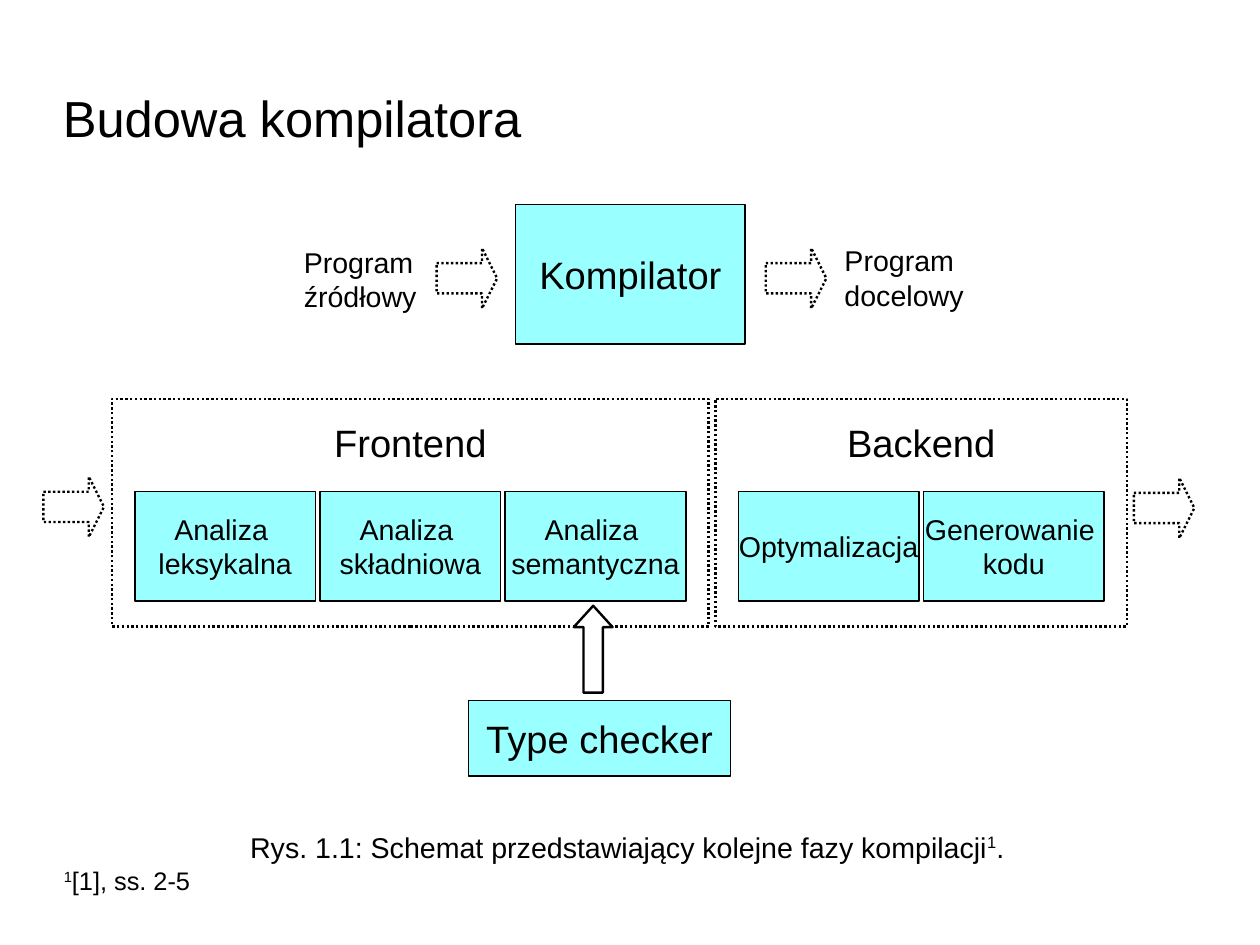
import pptx
import pptx.util
import pptx.dml.color
import pptx.enum.dml
import pptx.enum.shapes
import pptx.enum.text
from dataclasses import dataclass

PHASES = [
    ("Frontend", ["Analiza \nleksykalna", "Analiza \nskładniowa", "Analiza \nsemantyczna"]),
    ("Backend", ["Optymalizacja", "Generowanie \nkodu"]),
]
BLOCKS = [
    ("Kompilator", (4.51, 1.79, 2.01, 1.22)),
    ("Type checker", (4.1, 6.13, 2.29, 0.66)),
]
LABELS = [
    ("Program\nźródłowy", (2.56, 2.09, 1.2, 0.66)),
    ("Program\ndocelowy", (7.29, 2.08, 1.24, 0.66)),
]
FLOWS = [(3.82, 2.17), (6.7, 2.17), (0.38, 4.17), (9.92, 4.18)]
TITLE = "Budowa kompilatora"
CAPTION = ["Rys. 1.1: Schemat przedstawiający kolejne fazy kompilacji", "1", "."]
NOTE = ["1", "[1], ss. 2-5"]


@dataclass
class Theme:
    font: str = "Arial"
    ink: str = "000000"
    paper: str = "FFFFFF"
    aqua: str = "99FFFF"
    title: float = 31.9
    head: float = 24
    body: float = 18
    note: float = 16
    thin: float = 1
    thick: float = 1.5


theme = Theme()
Shape = pptx.enum.shapes.MSO_SHAPE
Anchor = pptx.enum.text.MSO_ANCHOR
Align = pptx.enum.text.PP_ALIGN
Fit = pptx.enum.text.MSO_AUTO_SIZE
Inch = pptx.util.Inches
Pt = pptx.util.Pt

deck = pptx.Presentation()
deck.slide_width, deck.slide_height = pptx.util.Cm(28), pptx.util.Cm(21)
slide = deck.slides.add_slide(deck.slide_layouts[6])


def color(code):
    return pptx.dml.color.RGBColor.from_string(code)


def style(frame, size, align, anchor, pads, wrap=False):
    frame.word_wrap = wrap
    frame.vertical_anchor = anchor
    frame.margin_left = frame.margin_right = Inch(pads[0])
    frame.margin_top = frame.margin_bottom = Inch(pads[1])
    for line in frame.paragraphs:
        line.alignment = align
        for run in line.runs:
            run.font.name = theme.font
            run.font.size = Pt(size)
            run.font.color.rgb = color(theme.ink)


def draw(kind, box, fill=None, width=theme.thin, dash=False):
    shape = slide.shapes.add_shape(kind, *map(Inch, box))
    shape.shadow.inherit = False
    if fill:
        shape.fill.solid()
        shape.fill.fore_color.rgb = color(fill)
    else:
        shape.fill.background()
    shape.line.color.rgb = color(theme.ink)
    shape.line.width = Pt(width)
    if dash:
        shape.line.dash_style = pptx.enum.dml.MSO_LINE.ROUND_DOT
    return shape


def block(text, box, size):
    frame = draw(Shape.RECTANGLE, box, theme.aqua).text_frame
    frame.text = text
    style(frame, size, Align.CENTER, Anchor.MIDDLE, (0.06, 0.01))


def label(text, box, size, anchor=Anchor.TOP, pads=(0.1, 0.05), wrap=False):
    frame = slide.shapes.add_textbox(*map(Inch, box)).text_frame
    frame.text = text
    style(frame, size, Align.LEFT, anchor, pads, wrap)
    frame.auto_size = Fit.SHAPE_TO_FIT_TEXT


def cite(parts, box, size, wrap=False):
    frame = slide.shapes.add_textbox(*map(Inch, box)).text_frame
    for part in parts:
        run = frame.paragraphs[0].add_run()
        run.text = part
        if part == "1":
            run._r.get_or_add_rPr().set("baseline", "33000")
    style(frame, size, Align.LEFT, Anchor.TOP, (0.1, 0.05), wrap)
    frame.auto_size = Fit.SHAPE_TO_FIT_TEXT


def arrow(kind, box, head, dash):
    shape = draw(kind, box, theme.paper, theme.thick, dash)
    shape.adjustments[0] = 0.5
    shape.adjustments[1] = head


def phases(left, top, high):
    wide, tall, gap, pad, drop = 1.58, 0.96, 0.04, 0.2, 0.81
    for name, steps in PHASES:
        for col, step in enumerate(steps):
            x = left + pad + col * (wide + gap)
            block(step, (x, top + drop, wide, tall), theme.body)
        span = 2 * pad + len(steps) * (wide + gap) - gap
        frame = draw(Shape.RECTANGLE, (left, top, span, high), None, theme.thick, True).text_frame
        frame.text = name
        style(frame, theme.head, Align.CENTER, Anchor.TOP, (0.06, 0.18))
        left += span + 0.06


label(TITLE, (0.55, 0.63, 7.87, 0.79), theme.title, Anchor.MIDDLE, (0, 0), True)
phases(0.98, 3.49, 1.99)
for text, box in BLOCKS:
    block(text, box, theme.head)
for text, box in LABELS:
    label(text, box, theme.body)
for x, y in FLOWS:
    arrow(Shape.RIGHT_ARROW, (x, y, 0.53, 0.53), 0.25, True)
arrow(Shape.UP_ARROW, (5.02, 5.3, 0.34, 0.76), 0.55, False)
cite(CAPTION, (2.09, 7.21, 6.86, 0.38), theme.body)
cite(NOTE, (0.46, 7.52, 5.05, 0.35), theme.note, True)
deck.save("out.pptx")
